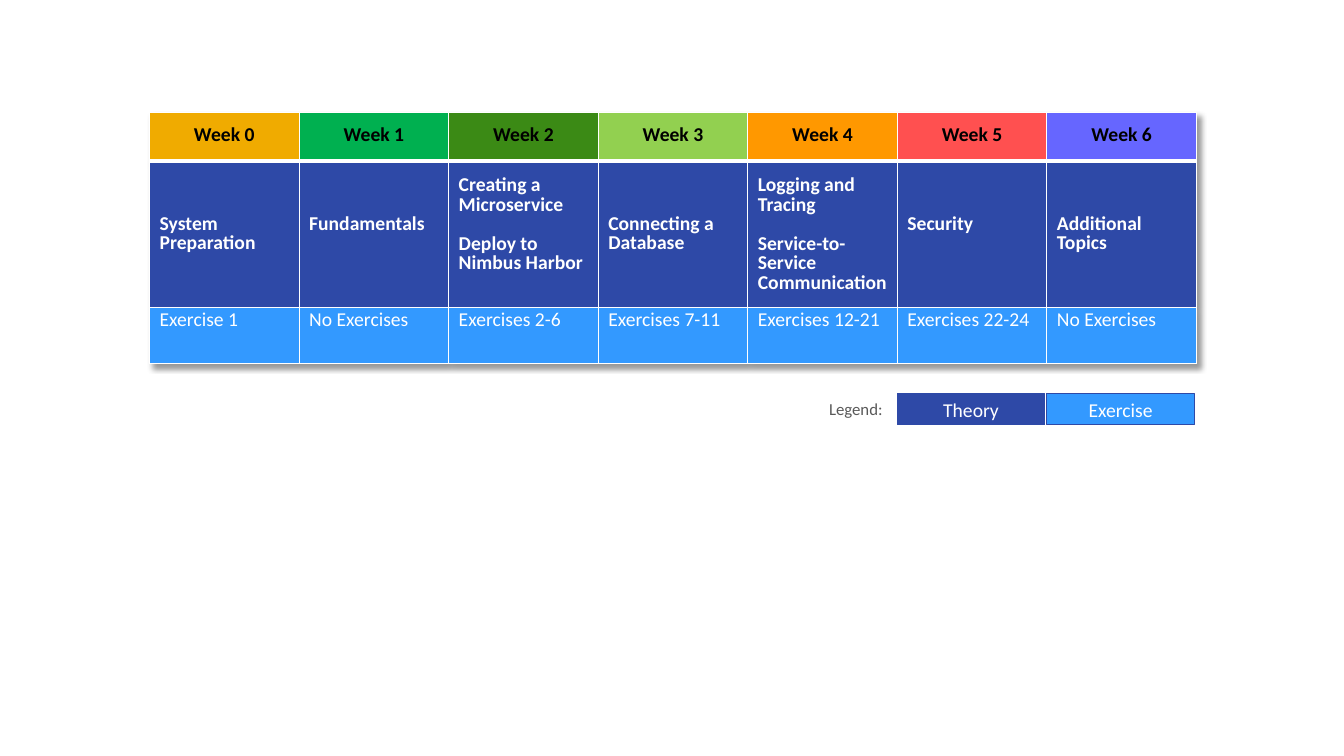
from pptx import Presentation
from pptx.dml.color import RGBColor
from pptx.enum.shapes import MSO_SHAPE
from pptx.enum.text import MSO_ANCHOR, PP_ALIGN
from pptx.oxml import parse_xml
from pptx.oxml.ns import nsdecls
from pptx.util import Cm, Pt

LEFT, CENTER = PP_ALIGN.LEFT, PP_ALIGN.CENTER
TOP, MIDDLE = MSO_ANCHOR.TOP, MSO_ANCHOR.MIDDLE
RECTANGLE = MSO_SHAPE.RECTANGLE

BLACK = RGBColor(0x00, 0x00, 0x00)
WHITE = RGBColor(0xFF, 0xFF, 0xFF)
GRAY = RGBColor(0x59, 0x59, 0x59)
THEORY_BLUE = RGBColor(0x2E, 0x49, 0xA7)
EXERCISE_BLUE = RGBColor(0x33, 0x99, 0xFF)
AMBER = RGBColor(0xF0, 0xAB, 0x00)
GREEN = RGBColor(0x00, 0xB0, 0x50)
DARK_GREEN = RGBColor(0x3B, 0x8A, 0x15)
LIGHT_GREEN = RGBColor(0x92, 0xD0, 0x50)
ORANGE = RGBColor(0xFF, 0x98, 0x00)
RED = RGBColor(0xFF, 0x50, 0x50)
VIOLET = RGBColor(0x66, 0x66, 0xFF)

WEEKS = [
    (AMBER, ["System Preparation"], "Exercise 1"),
    (GREEN, ["Fundamentals"], "No Exercises"),
    (DARK_GREEN, ["Creating a Microservice", "Deploy to Nimbus Harbor"], "Exercises 2-6"),
    (LIGHT_GREEN, ["Connecting a Database"], "Exercises 7-11"),
    (ORANGE, ["Logging and Tracing", "Service-to-Service Communication"], "Exercises 12-21"),
    (RED, ["Security"], "Exercises 22-24"),
    (VIOLET, ["Additional Topics"], "No Exercises"),
]
TABLE_LEFT, TABLE_TOP = 3.77, 2.84
COLUMN_WIDTH = 3.77
ROW_HEIGHTS = [1.22, 3.68, 1.42]
LEGEND_TOP, LEGEND_HEIGHT = 9.92, 0.79


def add_text(para, text, size, color, bold=False):
    span = para.add_run()
    span.text = text
    span.font.name = "Calibri"
    span.font.size = Pt(size)
    span.font.bold = bold
    span.font.color.rgb = color


def fill_cell(cell, texts, fill, color, bold, align, anchor, borders):
    cell.fill.solid()
    cell.fill.fore_color.rgb = fill
    cell.vertical_anchor = anchor
    for index, text in enumerate(texts):
        para = cell.text_frame.paragraphs[0] if index == 0 else cell.text_frame.add_paragraph()
        para.alignment = align
        para.line_spacing = Pt(14)
        if index:
            para.space_before = Pt(14)
        add_text(para, text, 14, color, bold)
    properties = cell._tc.get_or_add_tcPr()
    for index, (side, width) in enumerate(zip("LRTB", borders)):
        properties.insert(index, parse_xml(
            f'<a:ln{side} {nsdecls("a")} w="{Pt(width)}"><a:solidFill>'
            f'<a:srgbClr val="{WHITE}"/></a:solidFill></a:ln{side}>'))


deck = Presentation()
deck.slide_width, deck.slide_height = Cm(33.88), Cm(19.05)
page = deck.slides.add_slide(deck.slide_layouts[6])

frame = page.shapes.add_table(
    len(ROW_HEIGHTS), len(WEEKS), Cm(TABLE_LEFT), Cm(TABLE_TOP),
    Cm(COLUMN_WIDTH * len(WEEKS)), Cm(sum(ROW_HEIGHTS)))
schedule = frame.table
for row, height in zip(schedule.rows, ROW_HEIGHTS):
    row.height = Cm(height)
for column in schedule.columns:
    column.width = Cm(COLUMN_WIDTH)
schedule._tbl.tblPr.insert(0, parse_xml(
    f'<a:effectLst {nsdecls("a")}><a:outerShdw blurRad="50800" dist="38100" dir="2700000" '
    'algn="tl" rotWithShape="0"><a:srgbClr val="000000"><a:alpha val="40000"/></a:srgbClr>'
    '</a:outerShdw></a:effectLst>'))

for number, (week_color, topics, exercises) in enumerate(WEEKS):
    week, theory, exercise = (schedule.cell(row, number) for row in range(3))
    fill_cell(week, [f"Week {number}"], week_color, BLACK, True, CENTER, MIDDLE, (1, 1, 1, 3))
    fill_cell(theory, topics, THEORY_BLUE, WHITE, True, LEFT, TOP, (1, 1, 3, 1))
    theory.margin_top = Cm(0.4 if len(topics) > 1 else 1.38)
    theory.margin_bottom = Cm(0.3)
    theory.margin_right = Cm(0.15)
    fill_cell(exercise, [exercises], EXERCISE_BLUE, WHITE, False, LEFT, TOP, (1, 1, 1, 1))

for column, label, fill in [(6, "Exercise", EXERCISE_BLUE), (5, "Theory", THEORY_BLUE)]:
    box = page.shapes.add_shape(
        RECTANGLE, Cm(TABLE_LEFT + column * COLUMN_WIDTH), Cm(LEGEND_TOP),
        Cm(COLUMN_WIDTH - 0.05), Cm(LEGEND_HEIGHT))
    box.shadow.inherit = False
    box.fill.solid()
    box.fill.fore_color.rgb = fill
    box.line.color.rgb = THEORY_BLUE
    box.line.width = Pt(0.75)
    box.text_frame.vertical_anchor = MIDDLE
    box.text_frame.margin_top = box.text_frame.margin_bottom = 0
    para = box.text_frame.paragraphs[0]
    para.alignment = CENTER
    para.space_before = Pt(3)
    add_text(para, label, 14, WHITE)

legend = page.shapes.add_textbox(Cm(20.65), Cm(LEGEND_TOP), Cm(2.31), Cm(LEGEND_HEIGHT))
legend.text_frame.word_wrap = True
add_text(legend.text_frame.paragraphs[0], "Legend:", 12, GRAY)

deck.save("out.pptx")
